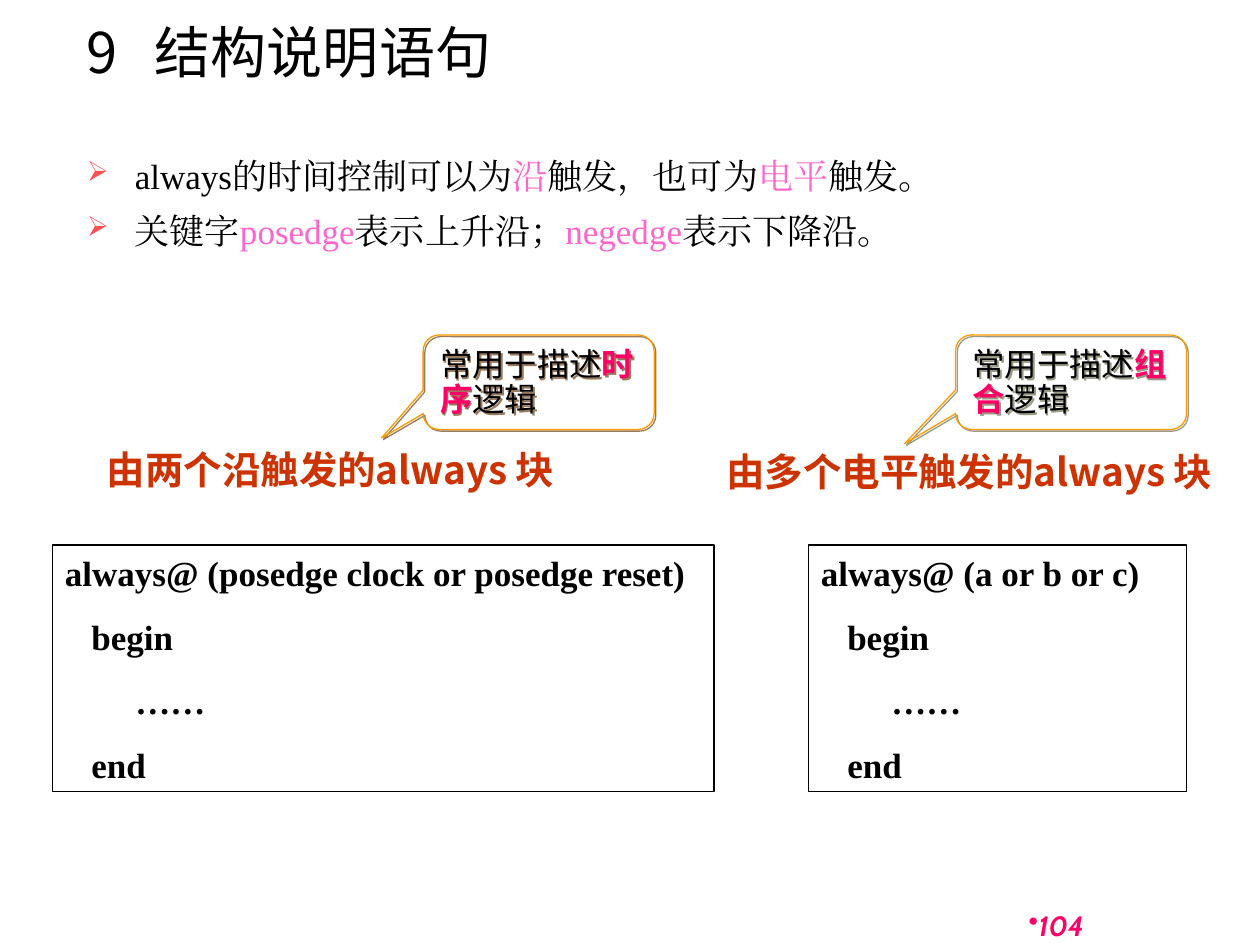
"""Slide on edge-triggered and level-triggered always blocks."""
from dataclasses import dataclass

import lxml.etree
import pptx
import pptx.dml.color
import pptx.enum.shapes
import pptx.enum.text
import pptx.oxml.ns
import pptx.util

SHAPES = pptx.enum.shapes.MSO_SHAPE
ALIGN = pptx.enum.text.PP_ALIGN
ANCHOR = pptx.enum.text.MSO_ANCHOR


@dataclass(frozen=True)
class Theme:
    """Colours, fonts and type sizes of the slide."""
    ink: str = "000000"
    pink: str = "FF66CC"
    accent: str = "FF0066"
    bullet: str = "FF5050"
    heading: str = "CC3300"
    outline: str = "FF9900"
    serif: str = "Times New Roman"
    sans: str = "Noto Sans CJK SC"
    number: str = "Cabin"
    title_size: float = 32
    heading_size: float = 22
    body_size: float = 20
    note_size: float = 18.5
    number_size: float = 16


class SlideBuilder:
    """Holds the theme and the current slide, on a grid of 120 by 90 cells."""

    columns, rows = 120, 90

    def __init__(self, deck, theme):
        """Add a blank page to the deck."""
        self.theme = theme
        self.cell_width = deck.slide_width / self.columns
        self.cell_height = deck.slide_height / self.rows
        self.page = deck.slides.add_slide(deck.slide_layouts[6])

    def place(self, area):
        """Turn columns and rows into slide lengths."""
        units = (self.cell_width, self.cell_height) * 2
        return [round(value * unit) for value, unit in zip(area, units)]

    def add_tag(self, parent, tag, **attributes):
        """Append a DrawingML element."""
        return lxml.etree.SubElement(parent, pptx.oxml.ns.qn(tag), attributes)

    def prepare(self, box, anchor=ANCHOR.BOTTOM, vertical_inset=0.05):
        """Set the text frame of a box."""
        frame = box.text_frame
        side, edge = pptx.util.Inches(0.1), pptx.util.Inches(vertical_inset)
        settings = {"word_wrap": True, "vertical_anchor": anchor,
                    "margin_left": side, "margin_right": side,
                    "margin_top": edge, "margin_bottom": edge}
        for name, value in settings.items():
            setattr(frame, name, value)
        return frame

    def paragraph(self, frame, spans, font, left=0, hang=0, bullet=None, **layout):
        """Write one paragraph from pairs of text and changed font values."""
        first = frame.paragraphs[0]
        para = frame.add_paragraph() if first.runs else first
        for name, value in {"alignment": ALIGN.LEFT, **layout}.items():
            setattr(para, name, value)
        properties = para._p.get_or_add_pPr()
        properties.set("marL", str(pptx.util.Inches(left)))
        properties.set("indent", str(pptx.util.Inches(-hang)))
        if bullet:
            character, color, percent = bullet
            self.add_tag(self.add_tag(properties, "a:buClr"), "a:srgbClr", val=color)
            self.add_tag(properties, "a:buSzPct", val=str(percent * 1000))
            self.add_tag(properties, "a:buChar", char=character)
        for text, changes in spans:
            span = para.add_run()
            span.text = text
            values = {"color": self.theme.ink, **font, **changes}
            color = pptx.dml.color.RGBColor.from_string(values.pop("color"))
            for name, value in values.items():
                setattr(span.font, name, value)
            span.font.color.rgb = color
            self.add_tag(span._r.get_or_add_rPr(), "a:ea", typeface=font["name"])

    def text(self, area, paragraphs, font, frame_format=None, **layout):
        """Add a text box."""
        box = self.page.shapes.add_textbox(*self.place(area))
        frame = self.prepare(box, **(frame_format or {}))
        for spans in paragraphs:
            self.paragraph(frame, spans, font, **layout)

    def outlined(self, kind, area, color, width):
        """Add an unfilled shape with an outline."""
        box = self.page.shapes.add_shape(kind, *self.place(area))
        box.shadow.inherit = False
        box.fill.background()
        box.line.color.rgb = pptx.dml.color.RGBColor.from_string(color)
        box.line.width = pptx.util.Pt(width)
        return box

    def callout(self, area, tip, shadow, topic):
        """Add a speech bubble that names a kind of logic."""
        theme = self.theme
        box = self.outlined(SHAPES.ROUNDED_RECTANGULAR_CALLOUT, area, theme.outline, 0.75)
        for index, value in enumerate((*tip, 0.17)):
            box.adjustments[index] = value
        effects = box._element.spPr.find(pptx.oxml.ns.qn("a:effectLst"))
        outer = self.add_tag(effects, "a:outerShdw", dist=str(pptx.util.Pt(1.4)),
                             dir="2700000", algn="ctr", rotWithShape="0")
        self.add_tag(outer, "a:srgbClr", val=shadow)
        spans = [("常用于描述", {}), (topic, {"color": theme.accent, "bold": True}), ("逻辑", {})]
        font = {"name": theme.sans, "size": pptx.util.Pt(theme.note_size), "bold": False}
        self.paragraph(self.prepare(box), spans, font, line_spacing=0.9)

    def code(self, area, condition):
        """Add a framed always block."""
        theme = self.theme
        frame = self.prepare(self.outlined(SHAPES.RECTANGLE, area, theme.ink, 1))
        font = {"name": theme.serif, "size": pptx.util.Pt(theme.body_size), "bold": True}
        lines = ((f"always@ ({condition})", 0), ("begin", 0.21), ("……", 0.56), ("end", 0.21))
        for line, left in lines:
            self.paragraph(frame, [(line, {})], font, left=left,
                           space_before=pptx.util.Pt(12.5))

    def heading(self, area, words):
        """Add the heading of an always block."""
        theme = self.theme
        font = {"name": theme.sans, "size": pptx.util.Pt(theme.heading_size),
                "bold": True, "color": theme.heading}
        self.text(area, [[(words, {})]], font, left=0.31, hang=0.31, alignment=ALIGN.JUSTIFY)


def main():
    """Build and save the slide."""
    deck = pptx.Presentation()
    deck.slide_width, deck.slide_height = pptx.util.Inches(10), pptx.util.Inches(7.5)
    theme = Theme()
    slide = SlideBuilder(deck, theme)

    slide.text((76.4, 84.1, 28, 6.2), [[("104", {})]],
               {"name": theme.number, "size": pptx.util.Pt(theme.number_size),
                "bold": True, "italic": True, "color": theme.accent},
               bullet=("•", theme.accent, 100), alignment=ALIGN.RIGHT)
    slide.text((7.1, 2.5, 74.6, 5.6), [[("9\t结构说明语句", {})]],
               {"name": theme.sans, "size": pptx.util.Pt(theme.title_size)},
               {"vertical_inset": 0}, left=0.54, hang=0.54)
    pink = {"color": theme.pink}
    points = [
        [("always的时间控制可以为", {}), ("沿", pink), ("触发，也可为", {}),
         ("电平", pink), ("触发。", {})],
        [("关键字", {}), ("posedge", pink), ("表示上升沿；", {}),
         ("negedge", pink), ("表示下降沿。", {})],
    ]
    slide.text((7.1, 14.3, 103.9, 61.9), points,
               {"name": theme.serif, "size": pptx.util.Pt(theme.body_size)},
               {"anchor": ANCHOR.TOP, "vertical_inset": 0}, left=0.38, hang=0.38,
               bullet=("➢", theme.bullet, 80), alignment=ALIGN.JUSTIFY,
               line_spacing=1.1, space_before=pptx.util.Pt(5))

    slide.callout((40.3, 31.9, 22, 9), (-0.68, 0.59), "997A5C", "时序")
    slide.callout((91, 31.9, 22, 9), (-0.72, 0.65), "999985", "组合")
    slide.code((5, 51.9, 63, 23.5), "posedge clock or posedge reset")
    slide.code((77, 51.9, 36, 23.5), "a or b or c")
    slide.heading((9, 41.9, 52, 5.6), "由两个沿触发的always 块")
    slide.heading((68, 42.1, 52, 5.6), "由多个电平触发的always 块")
    deck.save("out.pptx")


if __name__ == "__main__":
    main()
